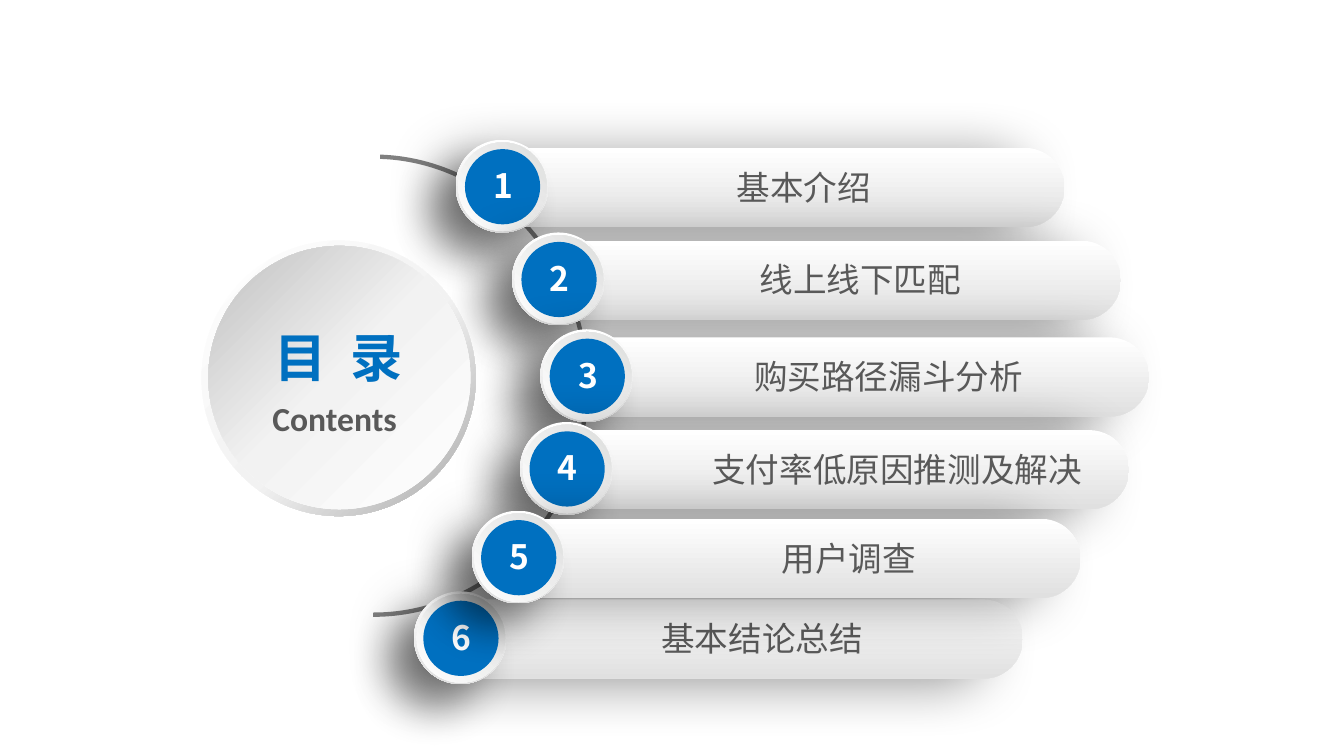
from lxml import etree
from pptx import Presentation
from pptx import util as u
from pptx.dml.color import RGBColor
from pptx.enum import shapes, text
from pptx.oxml.ns import qn

PX = u.Inches(1) // 100
COLORS = {
    "white": "FFFFFF", "black": "000000", "blue": "0070C0", "arc": "808080",
    "label": "595959", "edge": "E0E0E0", "ring": "DDDEDD", "pale": "F2F2F2",
    "disc": "BFBFBF", "rim": "A6A6A6",
}
CJK = "Noto Sans CJK SC"
KIND = shapes.MSO_SHAPE


def add_shape(parent, kind, box, stops, angle=0, shadow=None):
    shape = parent.shapes.add_shape(kind, *[n * PX for n in box])
    shape.line.fill.background()
    shape.shadow.inherit = False
    properties = shape._element.spPr
    if isinstance(stops, str):
        shape.fill.solid()
        shape.fill.fore_color.rgb = RGBColor.from_string(COLORS[stops])
    else:
        gradient = etree.Element(qn("a:gradFill"), rotWithShape="1")
        stop_list = etree.SubElement(gradient, qn("a:gsLst"))
        for position, name in stops:
            stop = etree.SubElement(stop_list, qn("a:gs"), pos=str(position * 1000))
            etree.SubElement(stop, qn("a:srgbClr"), val=COLORS[name])
        etree.SubElement(gradient, qn("a:lin"), ang=str(angle * 60000), scaled="0")
        properties.find(qn("a:prstGeom")).addnext(gradient)
    if shadow:
        blur, direction = shadow
        outer = etree.SubElement(
            properties.find(qn("a:effectLst")), qn("a:outerShdw"),
            blurRad=str(u.Pt(blur)), dist=str(u.Pt(20)),
            dir=str(direction * 60000), algn="ctr", rotWithShape="0")
        color = etree.SubElement(outer, qn("a:srgbClr"), val=COLORS["black"])
        etree.SubElement(color, qn("a:alpha"), val="40000")
    return shape


def add_text(parent, box, runs, size, font, color, bold=False):
    frame = parent.shapes.add_textbox(*[n * PX for n in box]).text_frame
    frame.word_wrap = True
    paragraph = frame.paragraphs[0]
    paragraph.alignment = text.PP_ALIGN.CENTER
    for words, spacing in runs:
        run = paragraph.add_run()
        run.text = words
        run.font.size = u.Pt(size)
        run.font.bold = bold
        run.font.name = font
        run.font.color.rgb = RGBColor.from_string(COLORS[color])
        properties = run._r.get_or_add_rPr()
        etree.SubElement(properties, qn("a:ea"), typeface=CJK)
        if spacing:
            properties.set("spc", str(spacing))


presentation = Presentation()
presentation.slide_width = 1000 * PX
presentation.slide_height = presentation.slide_width * 9 // 16
slide = presentation.slides.add_slide(presentation.slide_layouts[6])

arc = add_shape(slide, KIND.BLOCK_ARC, (106, 127, 344, 320), "arc")
arc.rotation = 90
for index, value in enumerate((108.97, 0.07, 0.01)):
    arc.adjustments[index] = value

edge_stops = [(0, "white"), (100, "edge")]
ring_stops = [(0, "white"), (100, "ring")]
rows = [
    ("1", "基本介绍", 354, 110, 272),
    ("2", "线上线下匹配", 396, 179, 272),
    ("3", "购买路径漏斗分析", 417, 251, 272),
    ("4", "支付率低原因推测及解决", 402, 320, 315),
    ("6", "基本结论总结", 323, 446, 272),
    ("5", "用户调查", 366, 386, 315),
]
for number, label, x, y, width in rows:
    if number == "5":
        contents = slide.shapes.add_group_shape()
        donut = add_shape(contents, KIND.DONUT, (150, 179, 204, 205),
                          [(0, "white"), (55, "pale"), (100, "rim")], 45)
        donut.adjustments[0] = 0.05
        add_shape(contents, KIND.OVAL, (155, 183, 195, 196),
                  [(0, "white"), (51, "pale"), (100, "disc")], 225)
        add_text(contents, (181, 237, 142, 57),
                 [("目", 0), (" ", 630), ("录", 0)], 28, CJK, "blue", True)
        add_text(contents, (190, 291, 118, 40),
                 [("Contents", 0)], 18, "Calibri", "label", True)
    row = slide.shapes.add_group_shape()
    bar = add_shape(row, KIND.ROUNDED_RECTANGLE, (x, y, 438, 59), edge_stops, 90, (30, 171))
    bar.adjustments[0] = 0.5
    add_shape(row, KIND.OVAL, (x - 15, y - 6, 69, 69), edge_stops, 90, (22, 135))
    add_shape(row, KIND.OVAL, (x - 13, y - 4, 66, 66), ring_stops, 315)
    add_shape(row, KIND.OVAL, (x - 8, y + 1, 56, 56), "blue")
    add_text(row, (x - 2, y + 8, 45, 40), [(number, 0)], 18, CJK, "white", True)
    add_text(row, (x + 108, y + 9, width, 40), [(label, 0)], 18, "Arial", "label")

presentation.save("out.pptx")
